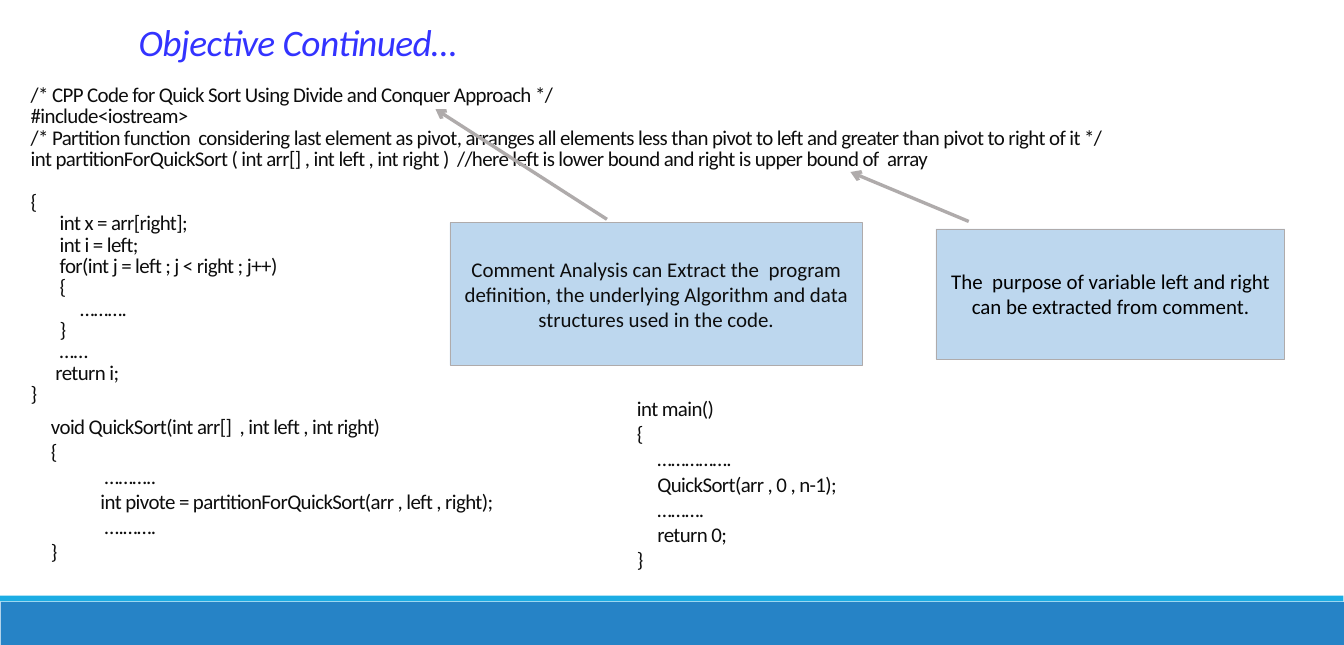
from lxml.etree import SubElement
from pptx import Presentation
from pptx.dml.color import RGBColor
from pptx.enum.shapes import MSO_CONNECTOR, MSO_SHAPE
from pptx.enum.text import MSO_ANCHOR, PP_ALIGN
from pptx.oxml.ns import qn
from pptx.util import Pt

PX = 9144  # 100 px to the inch
COLORS = {
    "white": "FFFFFF", "black": "000000", "ink": "0D0D0D", "title": "3333FF",
    "callout": "BDD7EE", "gray": "AFABAB", "band": "2683C6", "stripe": "1CADE4",
}

deck = Presentation()
deck.slide_width, deck.slide_height = 2500 * PX, 1200 * PX
slide = deck.slides.add_slide(deck.slide_layouts[6])


def add_box(bounds, fill, line=None):
    box = slide.shapes.add_shape(MSO_SHAPE.RECTANGLE, *[v * PX for v in bounds])
    box.shadow.inherit = False
    box.fill.solid()
    box.fill.fore_color.rgb = RGBColor.from_string(COLORS[fill])
    if line:
        box.line.color.rgb = RGBColor.from_string(COLORS[line])
        box.line.width = Pt(1)
    else:
        box.line.fill.background()
    return box


def write(box, lines, color, size=28, align=PP_ALIGN.LEFT, anchor=MSO_ANCHOR.MIDDLE,
          insets=(14, 7), tight=True, spacing=None):
    """Fill a box with (indent in px, text) lines."""
    frame = box.text_frame
    frame.word_wrap = True
    frame.vertical_anchor = anchor
    frame.margin_left = frame.margin_right = insets[0] * PX
    frame.margin_top = frame.margin_bottom = insets[1] * PX
    frame.text = "\n".join(text for _, text in lines)
    for paragraph, (indent, _) in zip(frame.paragraphs, lines):
        paragraph.alignment = align
        paragraph.line_spacing = spacing
        if indent:
            paragraph._p.get_or_add_pPr().set("marL", str(indent * PX))
        font = paragraph.runs[0].font
        font.name, font.size = "Calibri", Pt(size)
        font.color.rgb = RGBColor.from_string(COLORS[color])
        if tight:
            paragraph.runs[0]._r.get_or_add_rPr().set("spc", "-80")
    return frame


# Footer bands
add_box((1, 1120, 2499, 80), "band")
add_box((0, 1108, 2499, 11), "stripe")

# Partition function
partition_lines = [
    (0, "/* CPP Code for Quick Sort Using Divide and Conquer Approach */"),
    (0, "#include<iostream>"),
    (0, "/* Partition function  considering last element as pivot, arranges all elements "
        "less than pivot to left and greater than pivot to right of it */"),
    (0, "int partitionForQuickSort ( int arr[] , int left , int right )  "
        "//here left is lower bound and right is upper bound of  array"),
    (0, "{"),
    (54, "int x = arr[right];"),
    (54, "int i = left;"),
    (54, "for(int j = left ; j < right ; j++)"),
    (54, "{"),
    (92, "………."),
    (54, "}"),
    (54, "……"),
    (46, "return i;"),
    (0, "}"),
]
partition = write(add_box((43, 33, 2405, 1042), "white"), partition_lines, "ink",
                  anchor=MSO_ANCHOR.TOP, spacing=0.85)
partition.margin_top = 126 * PX
partition.paragraphs[4].space_before = Pt(29)

# Callouts
callouts = [
    ((837, 414, 767, 266), "ink", "Comment Analysis can Extract the  program definition, "
     "the underlying Algorithm and data structures used in the code."),
    ((1741, 426, 649, 242), "black", "The  purpose of variable left and right "
     "can be extracted from comment."),
]
for bounds, color, text in callouts:
    write(add_box(bounds, "callout", "gray"), [(0, text)], color,
          align=PP_ALIGN.CENTER, tight=False)

# Arrows from the callouts to the comments
for ends in [(1802, 412, 1582, 320), (1129, 408, 810, 203)]:
    arrow = slide.shapes.add_connector(MSO_CONNECTOR.STRAIGHT, *[v * PX for v in ends])
    arrow.line.color.rgb = RGBColor.from_string(COLORS["gray"])
    arrow.line.width = Pt(4.5)
    SubElement(arrow.line._get_or_add_ln(), qn("a:tailEnd"), type="arrow")
    SubElement(arrow._element.spPr, qn("a:effectLst"))

# QuickSort and main functions
functions = [
    ((85, 762, 1010, 295), [
        (0, "void QuickSort(int arr[]  , int left , int right)"),
        (0, "{"),
        (100, "……….."),
        (92, "int pivote = partitionForQuickSort(arr , left , right);"),
        (100, "….……."),
        (0, "}"),
    ]),
    ((1175, 750, 897, 300), [
        (0, "int main()"),
        (0, "{"),
        (38, "……………."),
        (38, "QuickSort(arr , 0 , n-1);"),
        (38, "………."),
        (38, "return 0;"),
        (0, "}"),
    ]),
]
for bounds, lines in functions:
    write(add_box(bounds, "white", "white"), lines, "ink", insets=(10, 5))

# Title
title = slide.shapes.add_textbox(*[v * PX for v in (97, 42, 914, 98)])
heading = write(title, [(0, "Objective Continued…")], "title", size=50,
                align=PP_ALIGN.CENTER, anchor=MSO_ANCHOR.TOP, spacing=0.85)
heading.paragraphs[0].runs[0].font.italic = True

deck.save("out.pptx")
